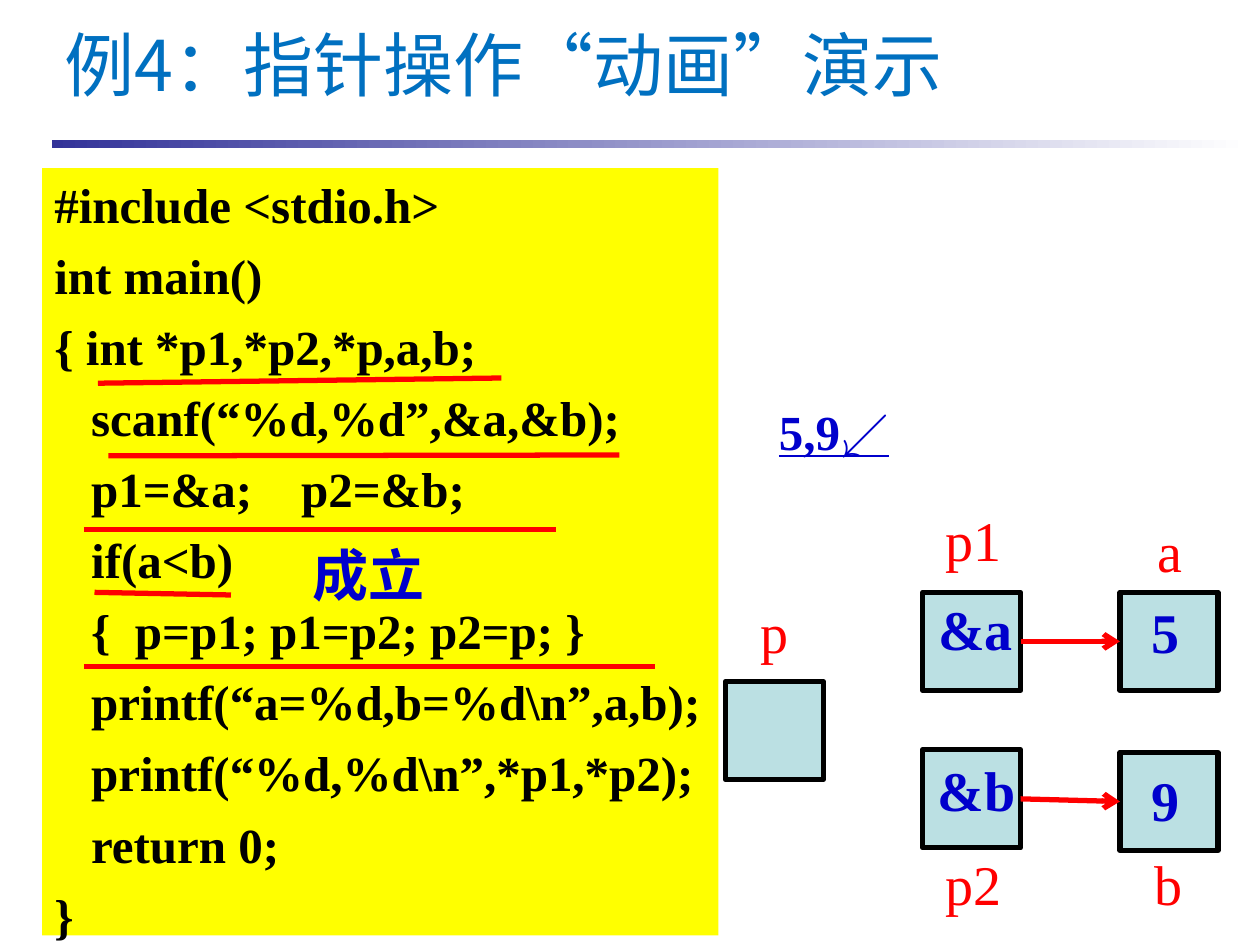
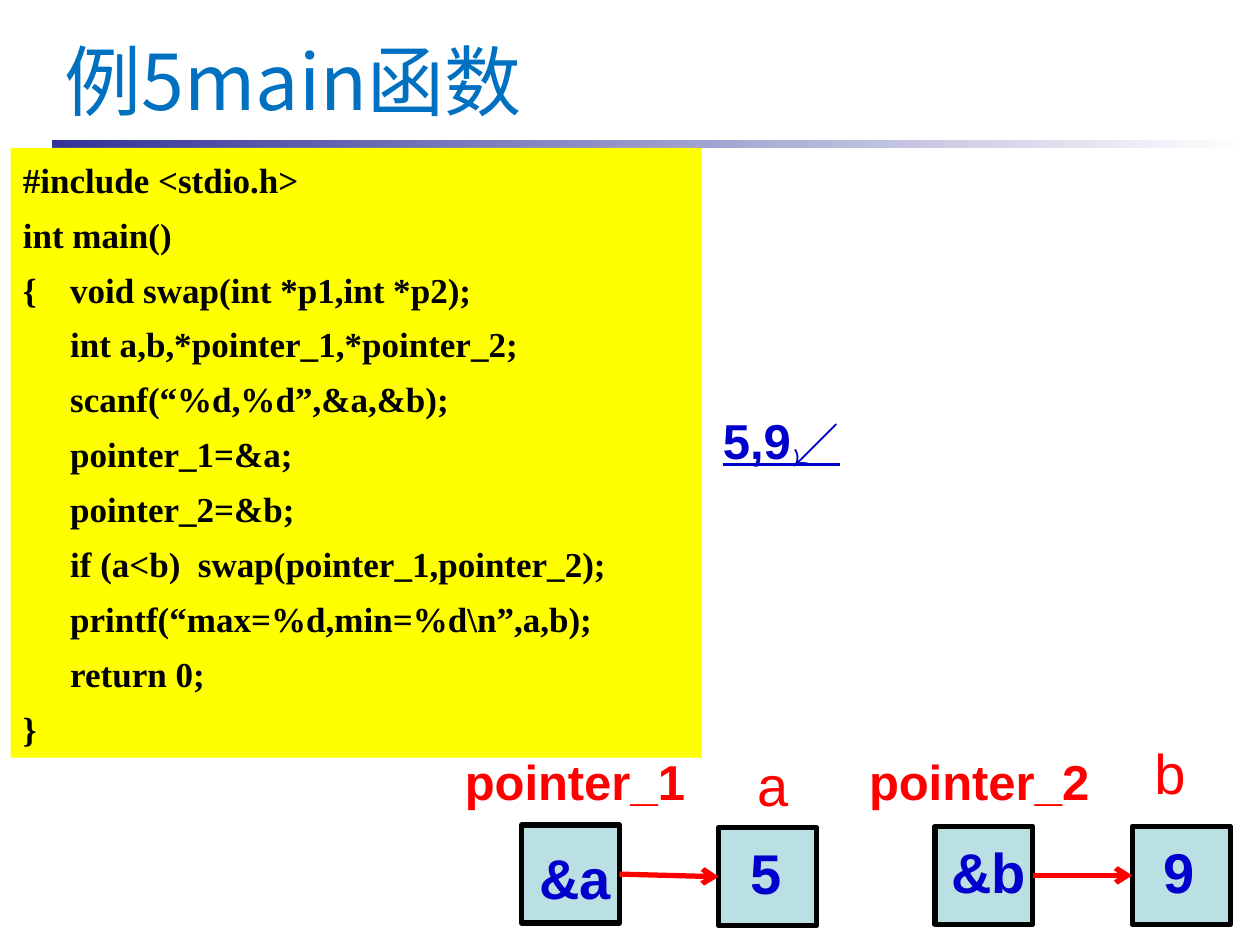
from dataclasses import dataclass

from lxml import etree
from pptx import Presentation
from pptx.dml.color import RGBColor
from pptx.enum import shapes, text
from pptx.oxml import ns
from pptx.util import Pt


@dataclass(frozen=True)
class Theme:
    title: str = "0070C0"
    band_start: str = "333399"
    band_end: str = "FFFFFF"
    code_fill: str = "FFFF00"
    code: str = "000000"
    cell_fill: str = "BBE0E3"
    cell_line: str = "000000"
    name: str = "FF0000"
    value: str = "0000CC"
    title_size: int = 40
    large_title_size: int = 44
    code_size: int = 28
    small_code_size: int = 20
    label_size: int = 32
    small_label_size: int = 28
    line_width: int = 3
    cell_side: int = 56
    space_before: float = 0.25
    chinese_face: str = "Noto Sans CJK SC"
    serif: str = "Times New Roman"
    sans: str = "Arial"


THEME = Theme()


def rgb(value):
    return RGBColor.from_string(value)


def add_child(parent, tag, **attributes):
    return etree.SubElement(parent, ns.qn(tag), attributes)


class Deck:
    """Holds the presentation, the theme, and the slide being drawn."""

    def __init__(self, theme):
        self.theme = theme
        self.presentation = Presentation()
        self.presentation.slide_width = Pt(720)
        self.presentation.slide_height = Pt(540)
        self.slide = None
        self.face = theme.serif

    def start_slide(self, face):
        self.slide = self.presentation.slides.add_slide(self.presentation.slide_layouts[6])
        self.face = face
        band = self.rectangle(29.5, 80, 684.5, 4.5)
        band.line.fill.background()
        band.fill.gradient()
        band.fill.gradient_angle = 0
        colours = (self.theme.band_start, self.theme.band_end)
        for stop, colour in zip(band.fill.gradient_stops, colours):
            stop.color.rgb = rgb(colour)

    def rectangle(self, left, top, width, height):
        shape = self.slide.shapes.add_shape(
            shapes.MSO_SHAPE.RECTANGLE, Pt(left), Pt(top), Pt(width), Pt(height))
        shape.shadow.inherit = False
        return shape

    def text_box(self, left, top, width, height):
        box = self.slide.shapes.add_textbox(Pt(left), Pt(top), Pt(width), Pt(height))
        box.text_frame.word_wrap = True
        return box

    def run(self, paragraph, words, size, colour, face, bold=False, underline=None):
        run = paragraph.add_run()
        run.text = words
        font = run.font
        font.size = Pt(size)
        font.name = face
        font.bold = bold
        font.underline = underline
        font.color.rgb = rgb(colour)
        add_child(run.font._element, "a:ea", typeface=self.theme.chinese_face)

    def title(self, words, top, size):
        frame = self.text_box(30, top, 672, 48).text_frame
        frame.vertical_anchor = text.MSO_ANCHOR.MIDDLE
        paragraph = frame.paragraphs[0]
        paragraph.line_spacing = Pt(36)
        self.run(paragraph, words, size, self.theme.title, self.theme.chinese_face)

    def code(self, lines, left, top, width, height, size, tab_stops, line_spacing=1.0):
        """Draws a listing whose inner gaps are tabs to the given stops."""
        box = self.text_box(left, top, width, height)
        box.fill.solid()
        box.fill.fore_color.rgb = rgb(self.theme.code_fill)
        frame = box.text_frame
        for number, line in enumerate(lines):
            paragraph = frame.add_paragraph() if number else frame.paragraphs[0]
            paragraph.line_spacing = line_spacing
            paragraph.space_before = Pt(size * self.theme.space_before)
            tabs = add_child(paragraph._p.get_or_add_pPr(), "a:tabLst")
            for stop in tab_stops:
                add_child(tabs, "a:tab", pos=str(int(Pt(stop))), algn="l")
            self.run(paragraph, line, size, self.theme.code, self.theme.serif, bold=True)

    def cell(self, left, top):
        side = self.theme.cell_side
        shape = self.rectangle(left, top, side, side)
        shape.fill.solid()
        shape.fill.fore_color.rgb = rgb(self.theme.cell_fill)
        shape.line.color.rgb = rgb(self.theme.cell_line)
        shape.line.width = Pt(self.theme.line_width)
        return shape

    def label(self, words, left, top, width, colour, size=None, bold=False,
              centred=False, underline=None):
        size = size or self.theme.label_size
        frame = self.text_box(left, top, width, size * 1.2).text_frame
        frame.auto_size = text.MSO_AUTO_SIZE.SHAPE_TO_FIT_TEXT
        paragraph = frame.paragraphs[0]
        paragraph.line_spacing = 0.8
        paragraph.space_before = Pt(size * self.theme.space_before)
        if centred:
            paragraph.alignment = text.PP_ALIGN.CENTER
        self.run(paragraph, words, size, colour, self.face, bold, underline)

    def name(self, words, left, top, width=40, **style):
        self.label(words, left, top, width, self.theme.name, **style)

    def value(self, words, left, top, width=40, **style):
        self.label(words, left, top, width, self.theme.value, bold=True, **style)

    def typed_input(self, left, top):
        self.value("5,9↙", left, top, 90, size=self.theme.small_label_size, underline=True)

    def line(self, start_x, start_y, end_x, end_y):
        connector = self.slide.shapes.add_connector(
            shapes.MSO_CONNECTOR.STRAIGHT, Pt(start_x), Pt(start_y), Pt(end_x), Pt(end_y))
        connector.line.color.rgb = rgb(self.theme.name)
        connector.line.width = Pt(self.theme.line_width)
        add_child(connector._element.spPr, "a:effectLst")
        return connector

    def pointer(self, source, target):
        """Draws an arrow from the right side of one cell to the left of another."""
        arrow = self.line(0, 0, 0, 0)
        arrow.begin_connect(source, 3)
        arrow.end_connect(target, 1)
        add_child(arrow._element.spPr.find(ns.qn("a:ln")), "a:tailEnd", type="arrow")


def draw_pointer_animation(deck):
    theme = deck.theme
    deck.start_slide(theme.serif)
    deck.code(
        ["#include <stdio.h>",
         "int main()",
         "{ int *p1,*p2,*p,a,b;",
         "\tscanf(“%d,%d”,&a,&b);",
         "\tp1=&a;\tp2=&b;",
         "\tif(a<b)",
         "\t{\tp=p1; p1=p2; p2=p; }",
         "\tprintf(“a=%d,b=%d\\n”,a,b);",
         "\tprintf(“%d,%d\\n”,*p1,*p2);",
         "\treturn 0;",
         "}"],
        24, 96, 386.5, 438.5, theme.code_size, tab_stops=(21, 46, 141))

    p_left, pointer_left, variable_left = (414.5 + 112.75 * column for column in range(3))
    deck.cell(p_left, 389.5)
    for pointer_top, variable_top in ((338.5, 338.5), (428.5, 430)):
        deck.pointer(deck.cell(pointer_left, pointer_top),
                     deck.cell(variable_left, variable_top))

    deck.name("a", 654.5, 299)
    deck.name("b", 652.5, 489.5)
    deck.name("p1", 533, 292.5, 56)
    deck.name("p2", 533, 489.5, 56)
    deck.name("p", p_left, 345.5, 56, centred=True)
    deck.value("5", 651, 345.5)
    deck.value("9", 651, 441.5)
    deck.value("&a", 526.5, 343.5, 62, centred=True)
    deck.value("&b", 527, 435.5, 62, centred=True)
    deck.value("成立", 171.5, 313, 96)
    deck.typed_input(438, 232.5)

    for underline in ((56, 219, 286.5, 216), (62, 260.5, 354, 260),
                      (48, 302.5, 318, 302.5), (54, 338.5, 132, 340),
                      (48, 381, 374.5, 381)):
        deck.line(*underline)
    deck.title("例4：指针操作“动画”演示", 18, theme.title_size)


def draw_swap_main(deck):
    theme = deck.theme
    deck.start_slide(theme.sans)
    deck.code(
        ["#include <stdio.h>",
         "int main()",
         "{\tvoid swap(int *p1,int *p2);",
         "\tint a,b,*pointer_1,*pointer_2;",
         "\tscanf(“%d,%d”,&a,&b);",
         "\tpointer_1=&a;",
         "\tpointer_2=&b;",
         "\tif (a<b)\tswap(pointer_1,pointer_2);",
         "\tprintf(“max=%d,min=%d\\n”,a,b);",
         "\treturn 0;",
         "}"],
        6, 84.5, 395, 348.5, theme.small_code_size, tab_stops=(27, 100), line_spacing=1.1)

    for pointer_left, pointer_top, variable_top in ((298, 471.5, 473), (534.25, 472.25, 472.25)):
        deck.pointer(deck.cell(pointer_left, pointer_top),
                     deck.cell(pointer_left + 112.75, variable_top))

    deck.name("a", 425.5, 432.5)
    deck.name("b", 652.5, 426)
    for words, left in (("pointer_1", 258.5), ("pointer_2", 489.5)):
        deck.name(words, left, 432.5, 146, size=theme.small_label_size, bold=True)
    deck.value("5", 422, 483)
    deck.value("9", 658, 482.5)
    deck.value("&a", 297.5, 486, 62, centred=True)
    deck.value("&b", 534, 482.5, 62, centred=True)
    deck.typed_input(406, 237.5)
    deck.title("例5main函数", 30, theme.large_title_size)


def main():
    deck = Deck(THEME)
    draw_pointer_animation(deck)
    draw_swap_main(deck)
    deck.presentation.save("out.pptx")


if __name__ == "__main__":
    main()
